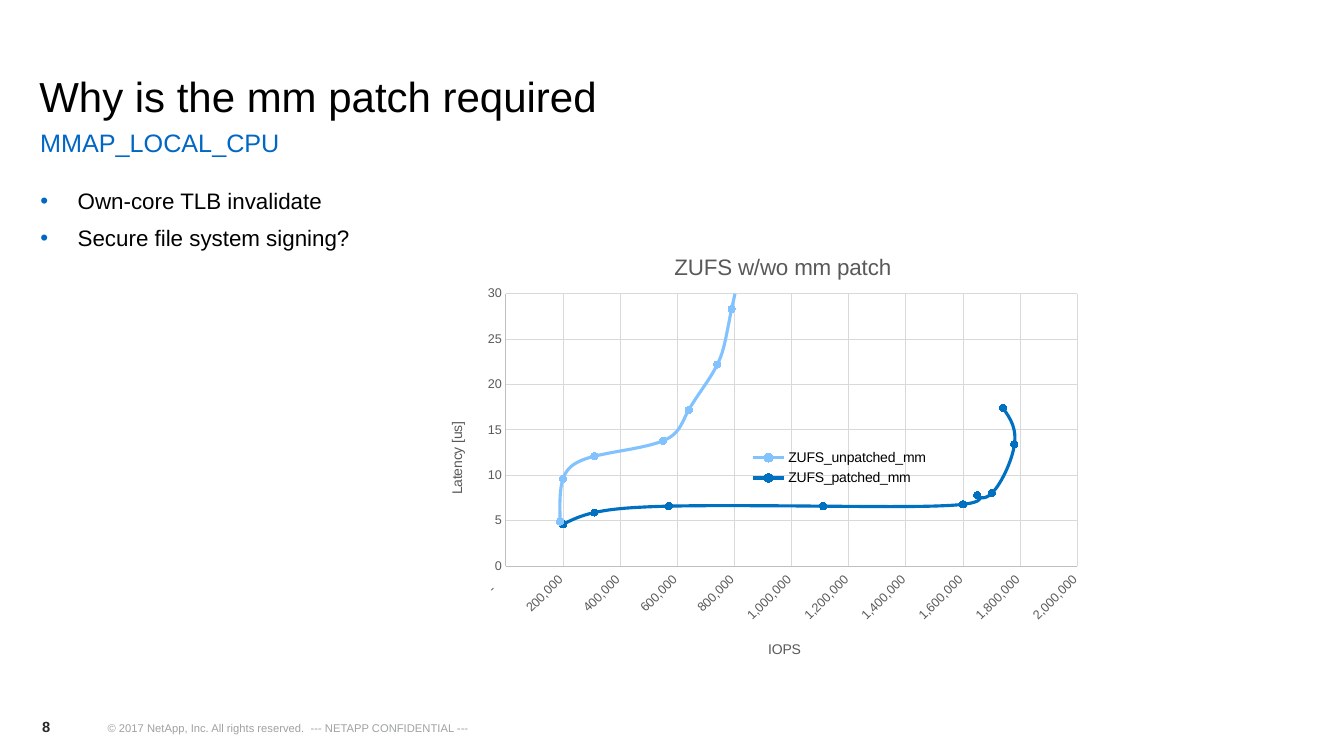
from lxml import etree
from pptx import Presentation
from pptx.chart.data import XyChartData
from pptx.dml.color import RGBColor
from pptx.enum.chart import XL_CHART_TYPE, XL_LEGEND_POSITION, XL_MARKER_STYLE, XL_TICK_MARK
from pptx.enum.text import MSO_ANCHOR, MSO_AUTO_SIZE, PP_ALIGN
from pptx.oxml.ns import qn
from pptx.util import Pt

SMOOTH_SCATTER = XL_CHART_TYPE.XY_SCATTER_SMOOTH
LEGEND_RIGHT = XL_LEGEND_POSITION.RIGHT
CIRCLE = XL_MARKER_STYLE.CIRCLE
NO_TICK = XL_TICK_MARK.NONE
TOP, BOTTOM = MSO_ANCHOR.TOP, MSO_ANCHOR.BOTTOM
NO_FIT = MSO_AUTO_SIZE.NONE
LEFT = PP_ALIGN.LEFT

BLACK = RGBColor(0x00, 0x00, 0x00)
BLUE = RGBColor(0x00, 0x67, 0xC5)
FOOTER_GRAY = RGBColor(0x9E, 0xA2, 0xA2)
NUMBER_GRAY = RGBColor(0x27, 0x29, 0x29)
LABEL_GRAY = RGBColor(0x59, 0x59, 0x59)
AXIS_GRAY = RGBColor(0xBF, 0xBF, 0xBF)
GRID_GRAY = RGBColor(0xD9, 0xD9, 0xD9)
LIGHT_BLUE = RGBColor(0x82, 0xC3, 0xFF)
DEEP_BLUE = RGBColor(0x00, 0x70, 0xC0)
FONT = "Arial"

TITLE = "Why is the mm patch required"
BULLETS = ["Own-core TLB invalidate", "Secure file system signing?"]
LABELS = [
    ("MMAP_LOCAL_CPU", (21.6, 87.1, 917, 31.7), TOP, 18, BLUE, False),
    ("© 2017 NetApp, Inc. All rights reserved.  --- NETAPP CONFIDENTIAL ---",
     (69.8, 509.8, 515, 18.7), BOTTOM, 8, FOOTER_GRAY, False),
    ("8", (23, 509, 35.3, 20.2), BOTTOM, 10.5, NUMBER_GRAY, True),
]
TITLE_AREA = (20.9, 18, 918, 72)
BODY_AREA = (20.9, 130.3, 417, 69)
CHART_AREA = (299.5, 162, 618.5, 319)

CHART_TITLE = "ZUFS w/wo mm patch"
SERIES = [
    ("ZUFS_unpatched_mm", LIGHT_BLUE,
     [(190000, 4.9), (200000, 9.6), (310000, 12.1), (550000, 13.8), (640000, 17.2),
      (740000, 22.2), (790000, 28.3), (850000, 38.9), (790000, 44.6)]),
    ("ZUFS_patched_mm", DEEP_BLUE,
     [(200000, 4.6), (310000, 5.9), (570000, 6.6), (1110000, 6.6), (1600000, 6.8),
      (1650000, 7.8), (1700000, 8), (1780000, 13.4), (1740000, 17.4)]),
]
IOPS_FORMAT = '_(* #,##0_);_(* \\(#,##0\\);_(* "-"??_);_(@_)'
AXES = [
    ("IOPS", 2000000, 200000, IOPS_FORMAT, -45, 0),
    ("Latency [us]", 30, 5, "0", 0, -90),
]
LAYOUTS = [
    ("c:chart/c:title", 1, {"x": 0.29, "y": 0.05}),
    ("c:chart/c:plotArea", 0, {"x": 0.1, "y": 0.15, "w": 0.66, "h": 0.61}),
    ("c:chart/c:plotArea/c:valAx[1]/c:title", 1, {"x": 0.4, "y": 0.92}),
    ("c:chart/c:plotArea/c:valAx[2]/c:title", 1, {"x": 0.03, "y": 0.43}),
    ("c:chart/c:legend", 1, {"x": 0.38, "y": 0.49, "w": 0.21, "h": 0.1}),
]


def style(font, size, color, bold=False):
    font.name = FONT
    font.size = Pt(size)
    font.bold = bold
    font.color.rgb = color


def place(shape, area):
    shape.left, shape.top, shape.width, shape.height = map(Pt, area)


def write(para, text, size, color, bold=False):
    span = para.add_run()
    span.text = text
    style(span.font, size, color, bold)


def prepare(frame, anchor):
    frame.word_wrap = True
    frame.auto_size = NO_FIT
    frame.vertical_anchor = anchor


def add_bullet(para):
    props = para._p.get_or_add_pPr()
    props.set("marL", str(Pt(27.4)))
    props.set("indent", str(Pt(-26.6)))
    color = etree.SubElement(props, qn("a:buClr"))
    etree.SubElement(color, qn("a:srgbClr"), val=str(BLUE))
    etree.SubElement(props, qn("a:buFont"), typeface=FONT)
    etree.SubElement(props, qn("a:buChar"), char="•")


def add_texts(page):
    title, body = page.placeholders
    place(title, TITLE_AREA)
    prepare(title.text_frame, BOTTOM)
    heading = title.text_frame.paragraphs[0]
    heading.alignment = LEFT
    write(heading, TITLE, 30, BLACK)

    place(body, BODY_AREA)
    prepare(body.text_frame, TOP)
    for index, text in enumerate(BULLETS):
        para = body.text_frame.add_paragraph() if index else body.text_frame.paragraphs[0]
        add_bullet(para)
        para.space_before = Pt(3.2 if index else 0)
        para.space_after = Pt(4)
        write(para, text, 16, BLACK)

    for text, area, anchor, size, color, bold in LABELS:
        box = page.shapes.add_textbox(*map(Pt, area))
        prepare(box.text_frame, anchor)
        write(box.text_frame.paragraphs[0], text, size, color, bold)


def format_axis(axis, title, maximum, step, number_format, label_angle, title_angle):
    axis.minimum_scale, axis.maximum_scale, axis.major_unit = 0, maximum, step
    axis.major_tick_mark = axis.minor_tick_mark = NO_TICK
    axis.has_major_gridlines = True
    for line, color in ((axis.format.line, AXIS_GRAY),
                        (axis.major_gridlines.format.line, GRID_GRAY)):
        line.color.rgb = color
        line.width = Pt(0.75)
    labels = axis.tick_labels
    labels.number_format = number_format
    labels.number_format_is_linked = False
    style(labels.font, 9, LABEL_GRAY)
    write(axis.axis_title.text_frame.paragraphs[0], title, 10, LABEL_GRAY)
    for path, angle in (("c:txPr/a:bodyPr", label_angle),
                        ("c:title/c:tx/c:rich/a:bodyPr", title_angle)):
        frame_props = axis._element.xpath(path)[0]
        frame_props.set("rot", str(angle * 60000))
        frame_props.set("vert", "horz")


def set_layout(parent, position, values):
    for old in parent.findall(qn("c:layout")):
        parent.remove(old)
    layout = etree.Element(qn("c:layout"))
    parent.insert(position, layout)
    manual = etree.SubElement(layout, qn("c:manualLayout"))
    if parent.tag == qn("c:plotArea"):
        etree.SubElement(manual, qn("c:layoutTarget"), val="inner")
    for key in ("x", "y"):
        etree.SubElement(manual, qn(f"c:{key}Mode"), val="edge")
    for key, value in values.items():
        etree.SubElement(manual, qn(f"c:{key}"), val=str(value))


def add_latency_chart(page):
    data = XyChartData()
    for name, color, points in SERIES:
        series = data.add_series(name)
        for iops, latency in points:
            series.add_data_point(iops, latency)
    chart = page.shapes.add_chart(SMOOTH_SCATTER, *map(Pt, CHART_AREA), data).chart
    style(chart.font, 10, BLACK)
    chart.has_title = True
    write(chart.chart_title.text_frame.paragraphs[0], CHART_TITLE, 16, LABEL_GRAY)
    chart.has_legend = True
    chart.legend.position = LEGEND_RIGHT
    chart.legend.include_in_layout = False
    style(chart.legend.font, 10, BLACK)

    plot = chart.plots[0]
    plot.vary_by_categories = False
    for series, (name, color, points) in zip(plot.series, SERIES):
        series.format.line.color.rgb = color
        series.format.line.width = Pt(2.25)
        series.marker.style = CIRCLE
        series.marker.size = 5
        series.marker.format.fill.solid()
        series.marker.format.fill.fore_color.rgb = color
        series.marker.format.line.color.rgb = color
        for smooth in series._element.xpath("c:smooth"):
            smooth.set("val", "1")

    for axis, settings in zip((chart.category_axis, chart.value_axis), AXES):
        format_axis(axis, *settings)
    for path, position, values in LAYOUTS:
        set_layout(chart._chartSpace.xpath(path)[0], position, values)


def main():
    deck = Presentation()
    deck.slide_width, deck.slide_height = Pt(960), Pt(540)
    page = deck.slides.add_slide(deck.slide_layouts[1])
    add_texts(page)
    add_latency_chart(page)
    deck.save("out.pptx")


if __name__ == "__main__":
    main()
